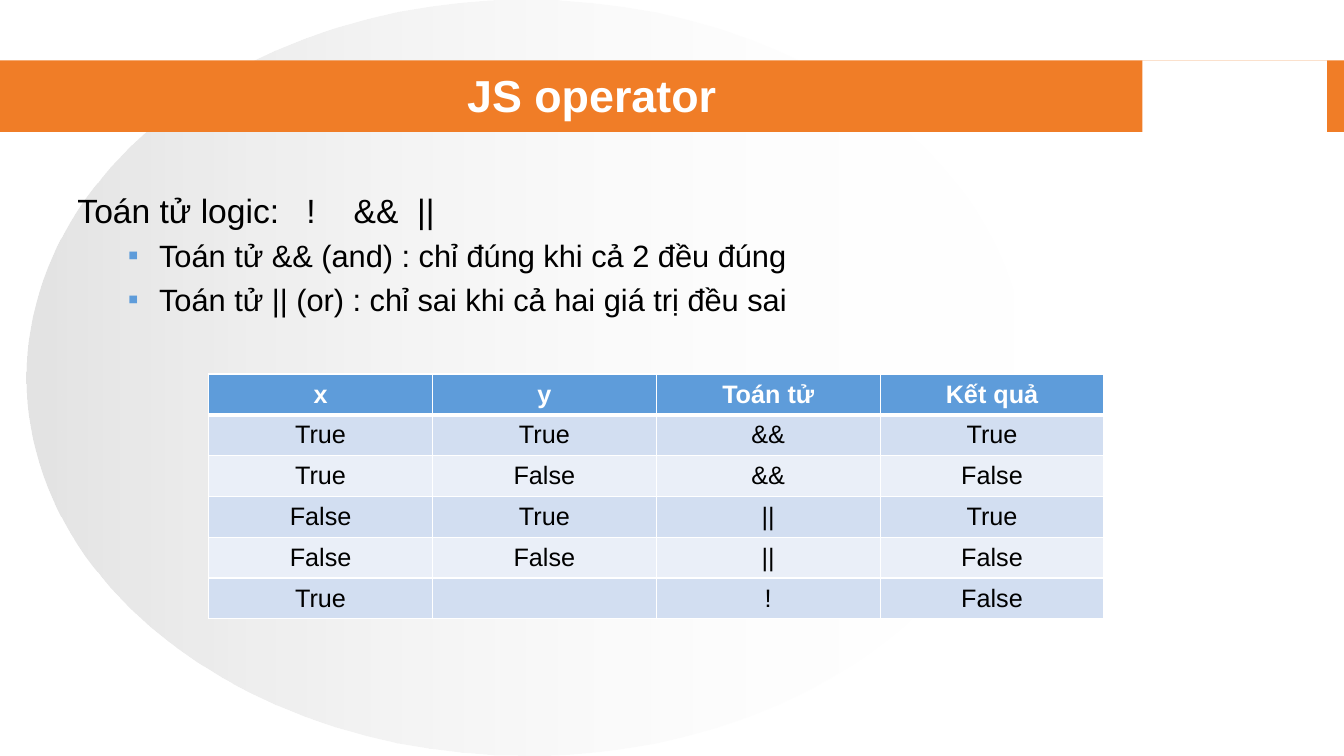
from lxml.etree import SubElement
from pptx import Presentation
from pptx.dml.color import RGBColor
from pptx.enum.shapes import MSO_SHAPE
from pptx.enum.text import MSO_ANCHOR, PP_ALIGN
from pptx.oxml.ns import qn
from pptx.util import Inches, Pt

# Content
TITLE = "JS operator"
LEAD = "Toán tử logic:\t!\t&&\t||"
RULES = [
    "Toán tử && (and) : chỉ đúng khi cả 2 đều đúng",
    "Toán tử || (or) : chỉ sai khi cả hai giá trị đều sai",
]
TRUTH_TABLE = [
    ("x", "y", "Toán tử", "Kết quả"),
    ("True", "True", "&&", "True"),
    ("True", "False", "&&", "False"),
    ("False", "True", "||", "True"),
    ("False", "False", "||", "False"),
    ("True", "", "!", "False"),
]

# Look
WHITE = RGBColor(0xFF, 0xFF, 0xFF)
BLACK = RGBColor(0x00, 0x00, 0x00)
SILVER = RGBColor(0xC0, 0xC0, 0xC0)
ORANGE = RGBColor(0xF0, 0x7D, 0x27)
BLUE = RGBColor(0x5E, 0x9C, 0xDA)
BANDS = [RGBColor(0xD2, 0xDE, 0xF1), RGBColor(0xEA, 0xEF, 0xF8)]
TITLE_FONT = {"name": "Arial", "size": Pt(32), "bold": True}
LEAD_FONT = {"name": "Arial", "size": Pt(24)}
RULE_FONT = {"name": "Arial", "size": Pt(22)}
HEAD_FONT = {"name": "Arial", "size": Pt(18), "bold": True}
CELL_FONT = {"name": "Arial", "size": Pt(18), "bold": False}
OPERATOR_TABS = [2.27, 2.74, 3.37]
BAND_TOP, BAND_HEIGHT = 0.6, 0.71
COLUMN_WIDTH, ROW_HEIGHT = 2.22, 0.405


def format_font(font, values, color):
    for key, value in values.items():
        setattr(font, key, value)
    font.color.rgb = color


def add_backdrop(kind, left, top, width, height, color=None):
    backdrop = slide.shapes.add_shape(
        kind, Inches(left), Inches(top), Inches(width), Inches(height))
    backdrop.shadow.inherit = False
    backdrop.line.fill.background()
    if color is not None:
        backdrop.fill.solid()
        backdrop.fill.fore_color.rgb = color
    return backdrop


def add_border(cell, side, points):
    line = SubElement(cell._tc.get_or_add_tcPr(), qn(f"a:ln{side}"), w=str(Pt(points)))
    fill = SubElement(line, qn("a:solidFill"))
    SubElement(fill, qn("a:srgbClr"), val=str(WHITE))


prs = Presentation()
prs.slide_width, prs.slide_height = Inches(13.33), Inches(7.5)
slide = prs.slides.add_slide(prs.slide_layouts[5])

# Fading ellipse
ellipse = add_backdrop(MSO_SHAPE.OVAL, 0.26, 0, 9.92, 7.5)
ellipse.fill.gradient()
ellipse.fill.gradient_angle = 0
for stop, color, opacity in zip(ellipse.fill.gradient_stops, (SILVER, WHITE), (44, 0)):
    stop.color.rgb = color
    SubElement(stop._gs.find(qn("a:srgbClr")), qn("a:alpha"), val=str(opacity * 1000))

# Title band with its white gap
add_backdrop(MSO_SHAPE.RECTANGLE, 0, BAND_TOP, 13.33, BAND_HEIGHT, ORANGE)
add_backdrop(MSO_SHAPE.RECTANGLE, 11.33, BAND_TOP, 1.83, BAND_HEIGHT, WHITE)

# Title, brought in front of the band
title = slide.shapes.title
title.left, title.top = Inches(0.67), Inches(0.67)
title.width, title.height = Inches(10.4), Inches(0.53)
title.text_frame.text = TITLE
title.text_frame.vertical_anchor = MSO_ANCHOR.MIDDLE
heading = title.text_frame.paragraphs[0]
heading.alignment = PP_ALIGN.CENTER
format_font(heading.runs[0].font, TITLE_FONT, WHITE)
slide.shapes._spTree.append(title._element)

# Lead line and bulleted rules
explanation = slide.shapes.add_textbox(
    Inches(0.67), Inches(1.83), Inches(12.06), Inches(5.08)).text_frame
explanation.word_wrap = True
lead = explanation.paragraphs[0]
lead.space_before = Pt(5)
lead_run = lead.add_run()
lead_run.text = LEAD
format_font(lead_run.font, LEAD_FONT, BLACK)
tabs = SubElement(lead._p.get_or_add_pPr(), qn("a:tabLst"))
for position in OPERATOR_TABS:
    SubElement(tabs, qn("a:tab"), pos=str(Inches(position)), algn="l")

for rule in RULES:
    item = explanation.add_paragraph()
    item.level = 1
    item.space_before = Pt(5)
    item_run = item.add_run()
    item_run.text = rule
    format_font(item_run.font, RULE_FONT, BLACK)
    properties = item._p.get_or_add_pPr()
    properties.set("marL", str(Inches(0.81)))
    properties.set("indent", str(Inches(-0.31)))
    bullet_color = SubElement(properties, qn("a:buClr"))
    SubElement(bullet_color, qn("a:srgbClr"), val=str(BLUE))
    SubElement(properties, qn("a:buFont"), typeface="Arial")
    SubElement(properties, qn("a:buChar"), char="▪")

# Truth table
row_count, column_count = len(TRUTH_TABLE), len(TRUTH_TABLE[0])
truth = slide.shapes.add_table(
    row_count, column_count, Inches(2.07), Inches(3.71),
    Inches(COLUMN_WIDTH * column_count), Inches(ROW_HEIGHT * row_count)).table
for column in truth.columns:
    column.width = Inches(COLUMN_WIDTH)
for r, values in enumerate(TRUTH_TABLE):
    truth.rows[r].height = Inches(ROW_HEIGHT)
    is_head = r == 0
    borders = {"L": 1, "R": 1, "T": 3 if r == 1 else 1, "B": 3 if is_head else 1}
    for c, value in enumerate(values):
        cell = truth.cell(r, c)
        for side, points in borders.items():
            add_border(cell, side, points)
        cell.fill.solid()
        cell.fill.fore_color.rgb = BLUE if is_head else BANDS[(r - 1) % 2]
        cell.vertical_anchor = MSO_ANCHOR.MIDDLE
        cell.text = value
        entry = cell.text_frame.paragraphs[0]
        entry.alignment = PP_ALIGN.CENTER
        for run in entry.runs:
            format_font(run.font, HEAD_FONT if is_head else CELL_FONT,
                        WHITE if is_head else BLACK)

prs.save("out.pptx")
